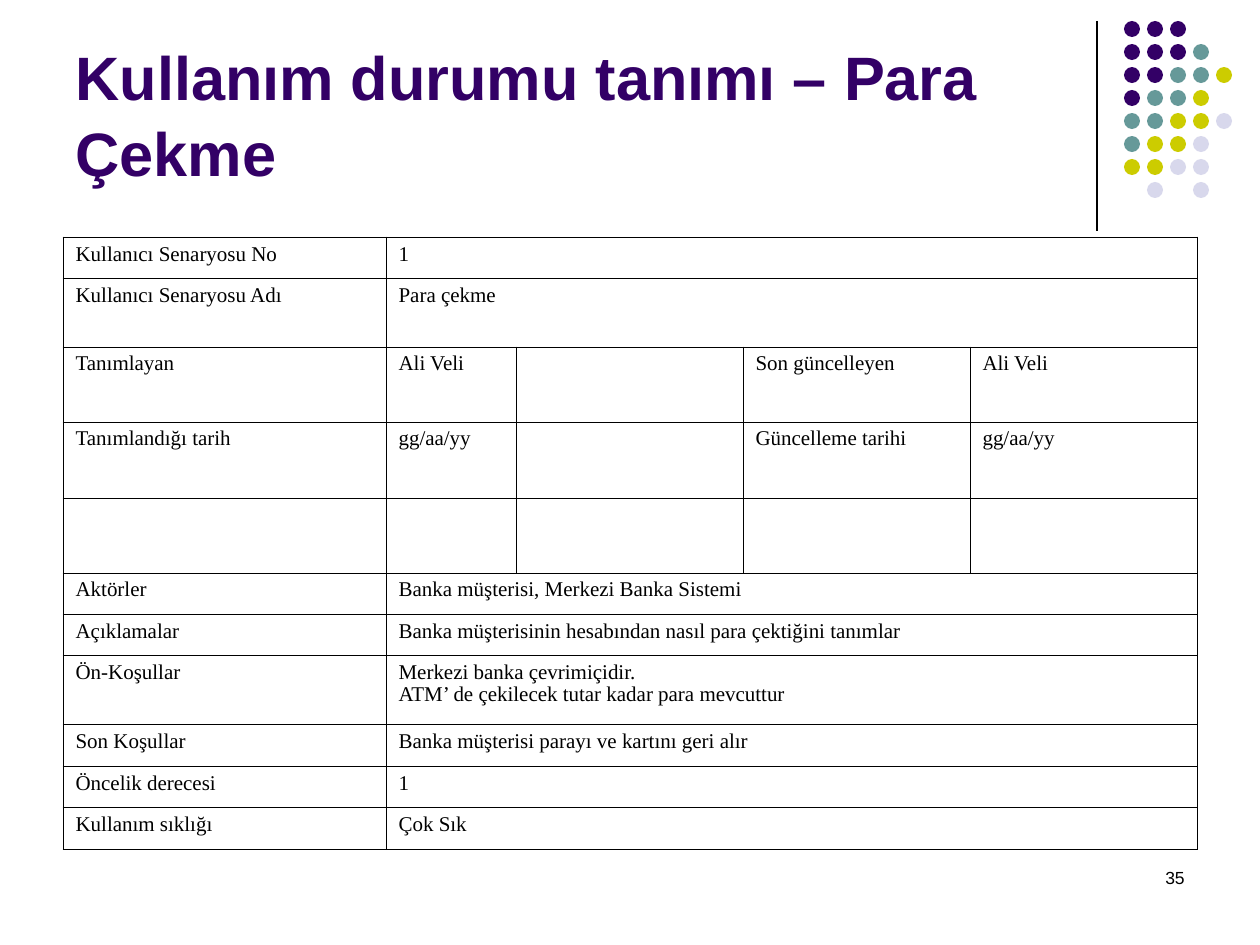
"""Build the use case slide with its dot pattern, title and table."""
from lxml.etree import SubElement
from pptx import Presentation
from pptx.dml.color import RGBColor as RGB
from pptx.enum.shapes import MSO_CONNECTOR as LINK, MSO_SHAPE as SHAPE
from pptx.enum.text import MSO_ANCHOR as ANCHOR, PP_ALIGN as ALIGN
from pptx.oxml import parse_xml
from pptx.oxml.ns import nsdecls, qn
from pptx.util import Pt

PX = 914400 / 126
BLACK = RGB(0, 0, 0)
PURPLE = RGB(0x33, 0x00, 0x66)
TEAL = RGB(0x66, 0x99, 0x99)
LIME = RGB(0xCC, 0xCC, 0x00)
MIST = RGB(0xD8, 0xD8, 0xEC)


def px(*vals):
    return [round(v * PX) for v in vals]


def style(para, look):
    for key, val in look.items():
        if key == "color":
            para.font.color.rgb = val
        else:
            setattr(para.font, key, val)


deck = Presentation()
deck.slide_width, deck.slide_height = px(1260, 945)
slide = deck.slides.add_slide(deck.slide_layouts[6])
shapes = slide.shapes

rule = shapes.add_connector(LINK.STRAIGHT, *px(1097, 21, 1097, 231))
rule.line.color.rgb = BLACK
rule.line.width = Pt(0.75)
SubElement(rule.element.spPr, qn("a:effectLst"))

HUES = {"P": PURPLE, "T": TEAL, "L": LIME, "M": MIST}
DOTS = ["PPP", "PPPT", "PPTTL", "PTTL", "TTLLM", "TLLM", "LLMM", " M M"]
for row, line in enumerate(DOTS):
    for col, hue in enumerate(line):
        if hue in HUES:
            spot = px(1124 + 23 * col, 21 + 23 * row, 16, 16)
            dot = shapes.add_shape(SHAPE.OVAL, *spot)
            dot.shadow.inherit = False
            dot.fill.solid()
            dot.fill.fore_color.rgb = HUES[hue]
            dot.line.fill.background()

TEXTS = [
    ("35", (903, 861, 294, 63), ANCHOR.TOP, ALIGN.RIGHT, 1,
     {"name": "Arial", "size": Pt(10), "color": BLACK}),
    ("Kullanım durumu tanımı – Para Çekme", (63, 16, 1040, 179),
     ANCHOR.BOTTOM, ALIGN.LEFT, 1.04,
     {"name": "Arial", "size": Pt(35), "bold": True, "color": PURPLE}),
]
for text, spot, anchor, align, space, look in TEXTS:
    frame = shapes.add_textbox(*px(*spot)).text_frame
    frame.word_wrap = True
    frame.vertical_anchor = anchor
    para = frame.paragraphs[0]
    para.text = text
    para.alignment = align
    para.line_spacing = space
    style(para, look)

COLS = [323, 130, 227, 227, 227]
ROWS = [
    (41, ["Kullanıcı Senaryosu No", "1"]),
    (69, ["Kullanıcı Senaryosu Adı", "Para çekme"]),
    (75, ["Tanımlayan", "Ali Veli", "", "Son güncelleyen", "Ali Veli"]),
    (76, ["Tanımlandığı tarih", "gg/aa/yy", "", "Güncelleme tarihi", "gg/aa/yy"]),
    (75, [""] * 5),
    (42, ["Aktörler", "Banka müşterisi, Merkezi Banka Sistemi"]),
    (41, ["Açıklamalar",
          "Banka müşterisinin hesabından nasıl para çektiğini tanımlar"]),
    (69, ["Ön-Koşullar", "Merkezi banka çevrimiçidir.\n"
          "ATM’ de çekilecek tutar kadar para mevcuttur"]),
    (42, ["Son Koşullar", "Banka müşterisi parayı ve kartını geri alır"]),
    (41, ["Öncelik derecesi", "1"]),
    (42, ["Kullanım sıklığı", "Çok Sık"]),
]
BODY = {"name": "Times New Roman", "size": Pt(12), "color": BLACK}
INDENT = px(48)[0]
high = sum(tall for tall, _ in ROWS)
spot = px(63, 237, sum(COLS), high)
grid = shapes.add_table(len(ROWS), len(COLS), *spot).table
grid.first_row = grid.horz_banding = False
for col, wide in zip(grid.columns, px(*COLS)):
    col.width = wide

for row, (tall, words) in enumerate(ROWS):
    grid.rows[row].height = px(tall)[0]
    if len(words) == 2:
        grid.cell(row, 1).merge(grid.cell(row, 4))
    for col in range(len(COLS)):
        cell = grid.cell(row, col)
        cell.fill.background()
        props = cell._tc.get_or_add_tcPr()
        for at, side in enumerate("LRTB"):
            props.insert(at, parse_xml(
                f'<a:ln{side} {nsdecls("a")} w="{Pt(0.45)}"><a:solidFill>'
                f'<a:srgbClr val="{BLACK}"/></a:solidFill></a:ln{side}>'))
        if col < len(words):
            cell.text = words[col]
            for para in cell.text_frame.paragraphs:
                para.line_spacing = 0.95
                style(para, BODY)
                pad = para._p.get_or_add_pPr()
                pad.set("marL", str(INDENT))
                pad.set("indent", str(-INDENT))

deck.save("out.pptx")
